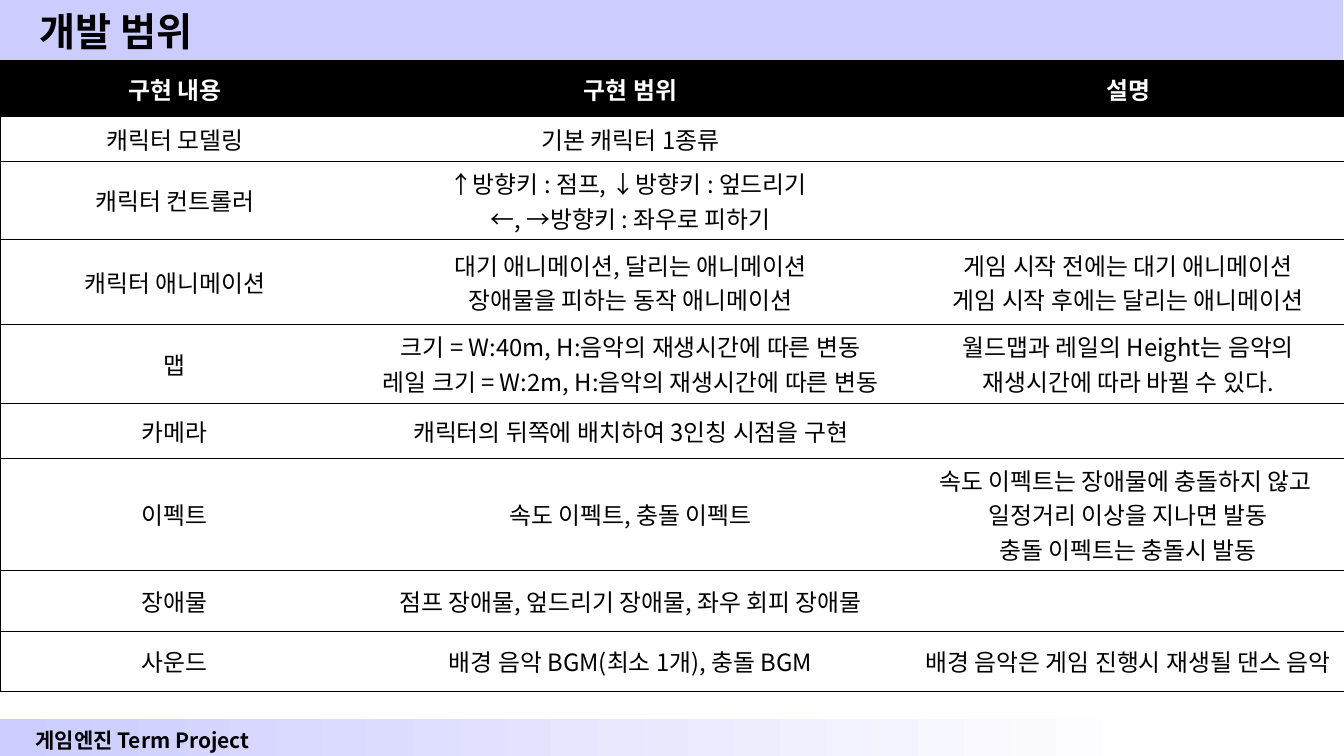
from lxml.etree import SubElement
from pptx import Presentation
from pptx.dml.color import RGBColor as Rgb
from pptx.enum.shapes import MSO_SHAPE as Shape
from pptx.enum.text import MSO_ANCHOR as Anchor, PP_ALIGN as Align
from pptx.oxml.ns import qn
from pptx.util import Inches, Pt

INK = {"black": "000000", "white": "FFFFFF", "lilac": "CCCCFF"}
FONT = "Noto Sans CJK KR"
COLS = [3.47, 5.57, 4.3]
ROWS = [
    (0.56, "구현 내용", "구현 범위", "설명"),
    (0.44, "캐릭터 모델링", "기본 캐릭터 1종류", ""),
    (0.78, "캐릭터 컨트롤러",
     "↑방향키 : 점프, ↓방향키 : 엎드리기 \n←, →방향키 : 좌우로 피하기", ""),
    (0.84, "캐릭터 애니메이션",
     "대기 애니메이션, 달리는 애니메이션\n장애물을 피하는 동작 애니메이션",
     "게임 시작 전에는 대기 애니메이션\n게임 시작 후에는 달리는 애니메이션"),
    (0.78, "맵",
     "크기 = W:40m, H:음악의 재생시간에 따른 변동\n"
     "레일 크기 = W:2m, H:음악의 재생시간에 따른 변동",
     "월드맵과 레일의 Height는 음악의\n재생시간에 따라 바뀔 수 있다."),
    (0.55, "카메라", "캐릭터의 뒤쪽에 배치하여 3인칭 시점을 구현", ""),
    (0.94, "이펙트", "속도 이펙트, 충돌 이펙트",
     "속도 이펙트는 장애물에 충돌하지 않고 \n"
     "일정거리 이상을 지나면 발동\n충돌 이펙트는 충돌시 발동"),
    (0.6, "장애물", "점프 장애물, 엎드리기 장애물, 좌우 회피 장애물", ""),
    (0.6, "사운드", "배경 음악 BGM(최소 1개), 충돌 BGM",
     "배경 음악은 게임 진행시 재생될 댄스 음악"),
]


def color(name):
    """Return the named colour."""
    return Rgb.from_string(INK[name])


def write(frame, text, size, ink="black", bold=True, align=Align.CENTER):
    """Fill a text frame and format all its runs."""
    frame.text = text
    for para in frame.paragraphs:
        para.alignment = align
        for run in para.runs:
            font = run.font
            font.name, font.size, font.bold = FONT, Pt(size), bold
            font.color.rgb = color(ink)
            SubElement(font._element, qn("a:ea"), typeface=FONT)


def pad(frame):
    """Set the insets of a text frame."""
    frame.margin_left = frame.margin_right = Inches(0.13)
    frame.margin_top = frame.margin_bottom = Inches(0.06)


def add_bar(slide, left, top, width, height):
    """Add a lilac bar without outline."""
    bar = slide.shapes.add_shape(
        Shape.RECTANGLE, *map(Inches, (left, top, width, height)))
    bar.shadow.inherit = False
    bar.line.fill.background()
    bar.fill.solid()
    bar.fill.fore_color.rgb = color("lilac")
    return bar


def add_head(slide, left, top, width, height):
    """Place the title on its bar."""
    bar = add_bar(slide, left, top, width, height)
    title = slide.shapes.title
    bar._element.addnext(title._element)
    title.left, title.top = Inches(left + 0.26), Inches(top + 0.05)
    title.width, title.height = Inches(width - 0.41), Inches(height - 0.08)
    frame = title.text_frame
    pad(frame)
    frame.vertical_anchor = Anchor.MIDDLE
    write(frame, "개발 범위", 28, align=Align.LEFT)


def add_foot(slide, left, top, width, height):
    """Place the fading footer bar and its label."""
    fill = add_bar(slide, left, top, width, height).fill
    fill.gradient()
    fill.gradient_angle = 0
    for stop, name, pos in zip(fill.gradient_stops, ("lilac", "white"), (0, 1)):
        stop.color.rgb = color(name)
        stop.position = pos
    box = slide.shapes.add_textbox(
        *map(Inches, (left + 0.05, top + 0.03, 2.73, height)))
    frame = box.text_frame
    frame.word_wrap = True
    pad(frame)
    write(frame, "게임엔진 Term Project", 15)


def add_edges(cell, sides):
    """Draw the given sides of a cell and clear the others."""
    props = cell._tc.get_or_add_tcPr()
    for side in "LRTB":
        line = SubElement(props, qn(f"a:ln{side}"), w=str(Pt(0.75)))
        if side in sides:
            fill = SubElement(line, qn("a:solidFill"))
            SubElement(fill, qn("a:srgbClr"), val=INK["black"])
        else:
            SubElement(line, qn("a:noFill"))


def add_grid(slide, left, top, width):
    """Place the scope table."""
    height = sum(row[0] for row in ROWS)
    table = slide.shapes.add_table(
        len(ROWS), len(COLS), *map(Inches, (left, top, width, height))).table
    for col, size in zip(table.columns, COLS):
        col.width = Inches(size)
    for i, (size, *texts) in enumerate(ROWS):
        table.rows[i].height = Inches(size)
        for j, text in enumerate(texts):
            cell = table.cell(i, j)
            add_edges(cell, ("LTB", "TB", "RTB")[j])
            cell.margin_left = cell.margin_right = Inches(0.1)
            cell.margin_top = cell.margin_bottom = Inches(0.04)
            cell.vertical_anchor = Anchor.MIDDLE
            if i:
                cell.fill.background()
            else:
                cell.fill.solid()
                cell.fill.fore_color.rgb = color("black")
            if text:
                write(cell.text_frame, text, 17,
                      "black" if i else "white", i == 0)


def main():
    """Build and save the slide."""
    deck = Presentation()
    deck.slide_width, deck.slide_height = Inches(13.33), Inches(7.5)
    slide = deck.slides.add_slide(deck.slide_layouts[5])
    add_foot(slide, 0, 7.13, 11.38, 0.38)
    add_head(slide, 0, 0, 13.32, 0.6)
    add_grid(slide, 0, 0.6, 13.33)
    deck.save("out.pptx")


if __name__ == "__main__":
    main()
